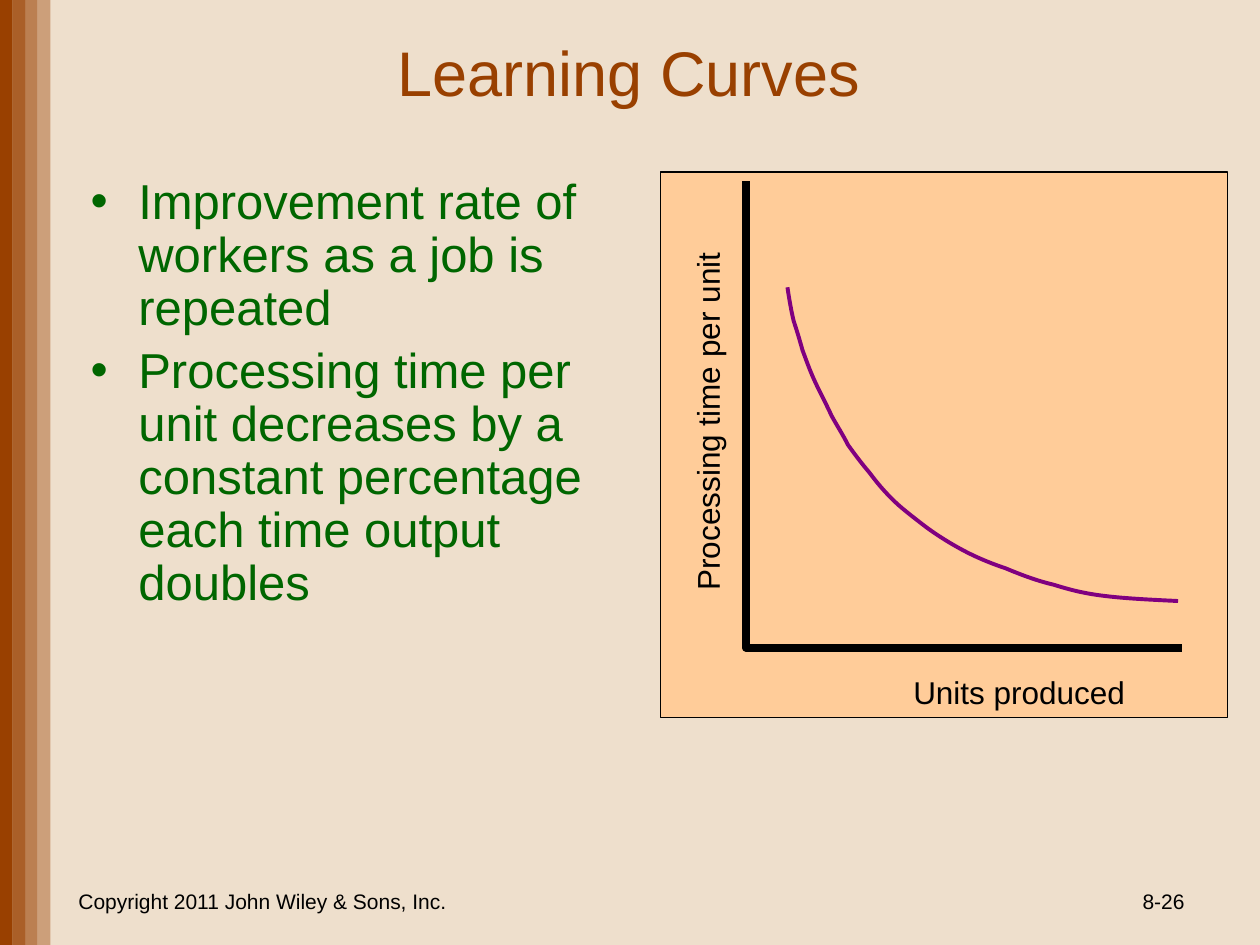
"""Build the Learning Curves slide: two bullets beside a processing-time curve."""
from dataclasses import dataclass
from itertools import chain

from lxml import etree
from pptx import Presentation, util as u
from pptx.dml.color import RGBColor
from pptx.enum import shapes, text
from pptx.oxml.ns import qn

SCALE = u.Inches(1) // 100


@dataclass(frozen=True)
class Theme:
    font: str = "Arial"
    background: str = "EEDFCC"
    accent: str = "994000"
    body: str = "006600"
    ink: str = "000000"
    panel: str = "FFCC99"
    curve: str = "800080"
    title_size: int = 36
    body_size: int = 28
    label_size: int = 18
    footer_size: int = 12


@dataclass(frozen=True)
class Box:
    left: int
    top: int
    width: int
    height: int
    rotation: int = 0

    def emu(self) -> list[int]:
        return [v * SCALE for v in (self.left, self.top, self.width, self.height)]


@dataclass(frozen=True)
class Label:
    words: str
    box: Box
    size: int
    align: text.PP_ALIGN
    wrap: bool = False
    anchor: text.MSO_ANCHOR = text.MSO_ANCHOR.TOP
    fill: str | None = None


THEME = Theme()
STRIPE_ALPHAS = (100, 80, 60, 40)
STRIPE_WIDTH = 10
BULLETS = (
    "Improvement rate of workers as a job is repeated",
    "Processing time per unit decreases by a constant percentage each time output doubles",
)
FOOTERS = (
    Label("Copyright 2011 John Wiley & Sons, Inc.", Box(50, 695, 317, 40),
          THEME.footer_size, text.PP_ALIGN.CENTER, True, text.MSO_ANCHOR.MIDDLE),
    Label("8-26", Box(717, 695, 233, 40),
          THEME.footer_size, text.PP_ALIGN.RIGHT, True, text.MSO_ANCHOR.MIDDLE),
)
AXIS_LABELS = (
    Label("Units produced", Box(715, 529, 190, 40),
          THEME.label_size, text.PP_ALIGN.LEFT, fill=THEME.panel),
    Label("Processing time per unit", Box(416, 313, 291, 40, 270),
          THEME.label_size, text.PP_ALIGN.LEFT, fill=THEME.panel),
)
AXES = ((592, 144), (592, 514), (938, 514))
CURVE_START = (625, 228)
CURVE_SEGMENTS = (
    ((626, 235), (628, 247), (630, 255)),
    ((633, 264), (635, 271), (637, 278)),
    ((640, 286), (642, 292), (646, 301)),
    ((650, 310), (656, 321), (660, 330)),
    ((665, 339), (669, 345), (673, 353)),
    ((678, 360), (684, 368), (690, 375)),
    ((696, 383), (701, 389), (708, 396)),
    ((715, 403), (723, 409), (732, 416)),
    ((741, 423), (752, 430), (763, 436)),
    ((774, 442), (786, 447), (798, 451)),
    ((810, 456), (823, 461), (836, 464)),
    ((849, 468), (860, 471), (877, 473)),
    ((893, 475), (914, 476), (935, 477)),
)


def paint(shape, fill: str, line: str | None = None, weight: float = 0) -> None:
    """Set the fill and outline of a shape and drop its shadow."""
    shape.shadow.inherit = False
    shape.fill.solid()
    shape.fill.fore_color.rgb = RGBColor.from_string(fill)
    if line is None:
        shape.line.fill.background()
    else:
        shape.line.color.rgb = RGBColor.from_string(line)
        shape.line.width = u.Pt(weight)


def add_run(paragraph, words: str, size: int, color: str) -> None:
    """Append one formatted run to a paragraph."""
    run = paragraph.add_run()
    run.text = words
    run.font.name = THEME.font
    run.font.size = u.Pt(size)
    run.font.color.rgb = RGBColor.from_string(color)


def add_rectangle(slide, box: Box, fill: str, line: str | None = None, weight: float = 0):
    """Draw a painted rectangle."""
    shape = slide.shapes.add_shape(shapes.MSO_SHAPE.RECTANGLE, *box.emu())
    shape.rotation = box.rotation
    paint(shape, fill, line, weight)
    return shape


def add_stripes(slide) -> None:
    """Draw the fading stripes down the left edge."""
    for index, alpha in enumerate(STRIPE_ALPHAS):
        box = Box(index * STRIPE_WIDTH, 0, STRIPE_WIDTH, 750)
        shape = add_rectangle(slide, box, THEME.accent)
        if alpha < 100:
            color = shape._element.spPr.find(qn("a:solidFill"))[0]
            etree.SubElement(color, qn("a:alpha"), val=str(alpha * 1000))


def set_title(slide, words: str) -> None:
    """Place and format the title placeholder."""
    title = slide.shapes.title
    title.left, title.top, title.width, title.height = Box(49, 9, 900, 95).emu()
    title.text_frame.vertical_anchor = text.MSO_ANCHOR.MIDDLE
    paragraph = title.text_frame.paragraphs[0]
    paragraph.alignment = text.PP_ALIGN.CENTER
    add_run(paragraph, words, THEME.title_size, THEME.accent)


def add_bullets(slide, box: Box) -> None:
    """Write the bulleted list with hanging indents."""
    frame = slide.shapes.add_textbox(*box.emu()).text_frame
    frame.word_wrap = True
    for index, words in enumerate(BULLETS):
        paragraph = frame.add_paragraph() if index else frame.paragraphs[0]
        properties = paragraph._p.get_or_add_pPr()
        properties.set("marL", str(38 * SCALE))
        properties.set("indent", str(-38 * SCALE))
        etree.SubElement(properties, qn("a:buFont"), typeface=THEME.font)
        etree.SubElement(properties, qn("a:buChar"), char="•")
        paragraph.line_spacing = 0.9
        if index:
            paragraph.space_before = u.Pt(THEME.body_size * 0.2)
        add_run(paragraph, words, THEME.body_size, THEME.body)


def add_label(slide, label: Label) -> None:
    """Write one line of text in a box."""
    shape = slide.shapes.add_textbox(*label.box.emu())
    shape.rotation = label.box.rotation
    if label.fill:
        paint(shape, label.fill)
    frame = shape.text_frame
    frame.word_wrap = label.wrap
    frame.vertical_anchor = label.anchor
    paragraph = frame.paragraphs[0]
    paragraph.alignment = label.align
    add_run(paragraph, label.words, label.size, THEME.ink)


def add_open_path(slide, points, line: str, weight: float):
    """Draw an open freeform through the points."""
    builder = slide.shapes.build_freeform(*points[0], scale=SCALE)
    builder.add_line_segments(points[1:], close=False)
    shape = builder.convert_to_shape()
    paint(shape, THEME.panel, line, weight)
    etree.SubElement(shape.line._get_or_add_ln(), qn("a:round"))
    return shape


def add_curve(slide) -> None:
    """Draw the learning curve as cubic segments."""
    points = (CURVE_START, *chain.from_iterable(CURVE_SEGMENTS))
    shape = add_open_path(slide, points, THEME.curve, 2.25)
    outline = next(shape._element.iter(qn("a:path")))
    steps = outline.findall(qn("a:lnTo"))
    for first in range(0, len(steps), 3):
        cubic = etree.SubElement(outline, qn("a:cubicBezTo"))
        for step in steps[first:first + 3]:
            cubic.append(step[0])
            outline.remove(step)


def main() -> None:
    """Assemble and save the slide."""
    presentation = Presentation()
    presentation.slide_width, presentation.slide_height = 1000 * SCALE, 750 * SCALE
    slide = presentation.slides.add_slide(presentation.slide_layouts[5])
    slide.background.fill.solid()
    slide.background.fill.fore_color.rgb = RGBColor.from_string(THEME.background)
    add_stripes(slide)
    set_title(slide, "Learning Curves")
    add_bullets(slide, Box(62, 136, 411, 424))
    for label in FOOTERS:
        add_label(slide, label)
    add_rectangle(slide, Box(533, 128, 433, 450, 270), THEME.panel, THEME.ink, 0.75)
    add_open_path(slide, AXES, THEME.ink, 4.5)
    add_curve(slide)
    for label in AXIS_LABELS:
        add_label(slide, label)
    presentation.save("out.pptx")


if __name__ == "__main__":
    main()
